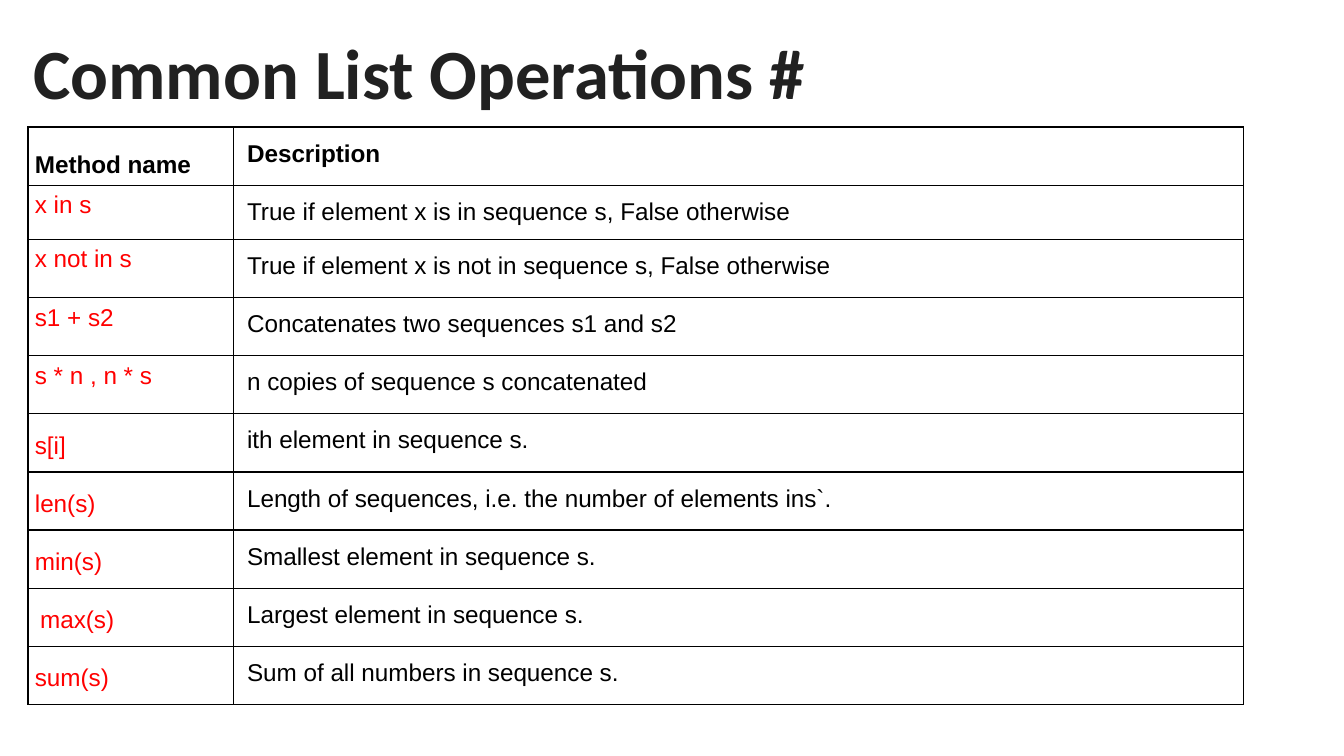
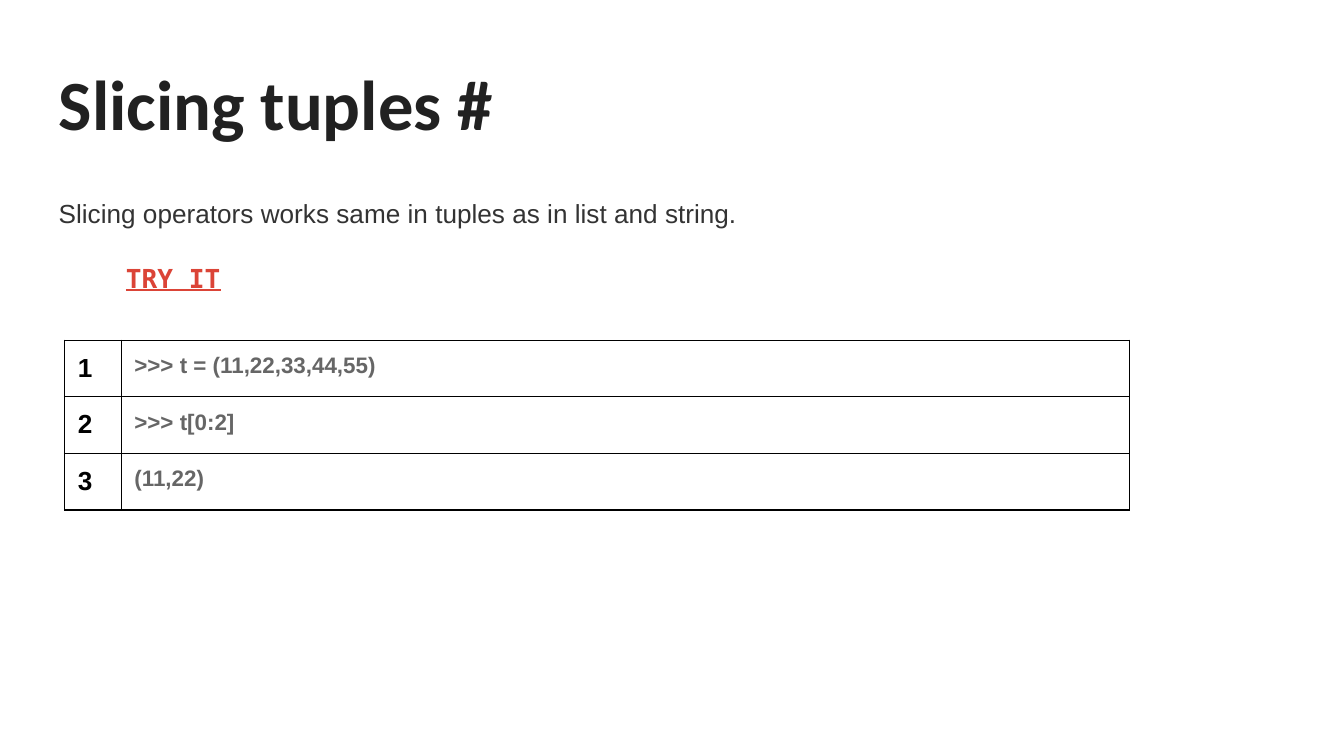
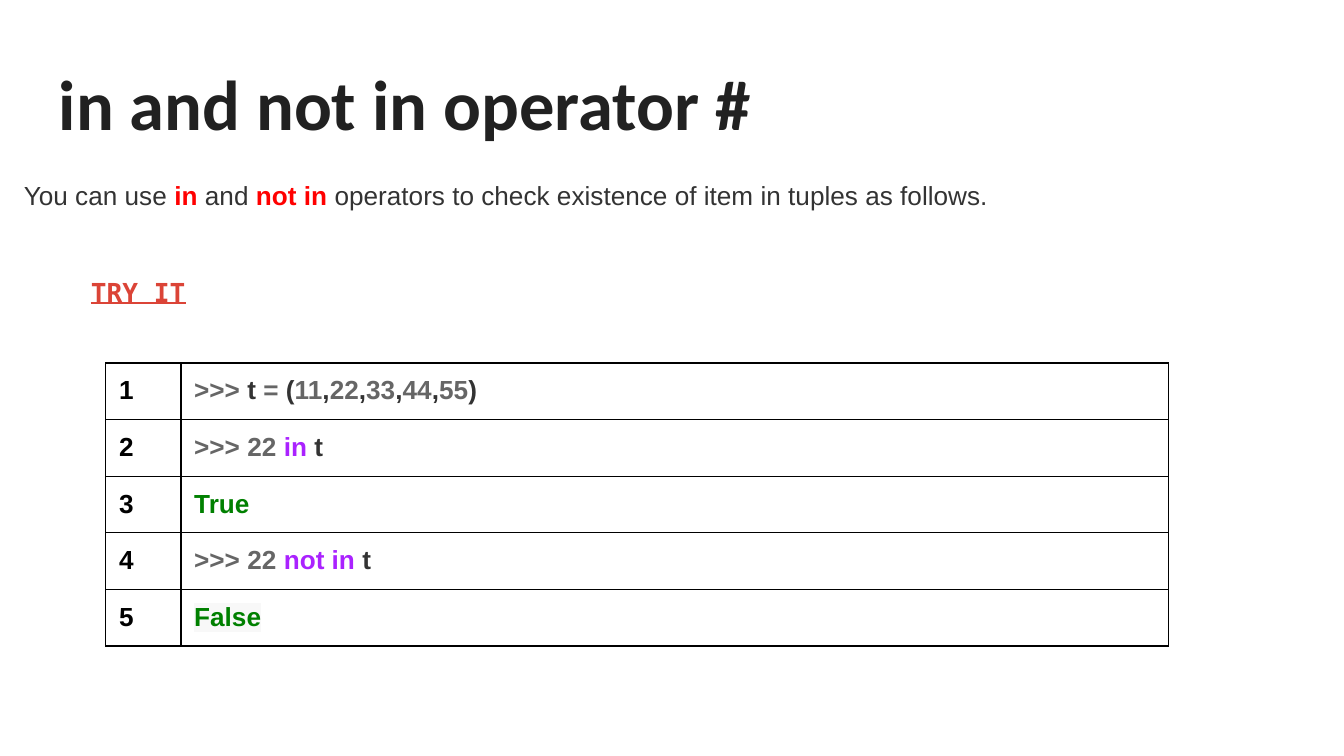
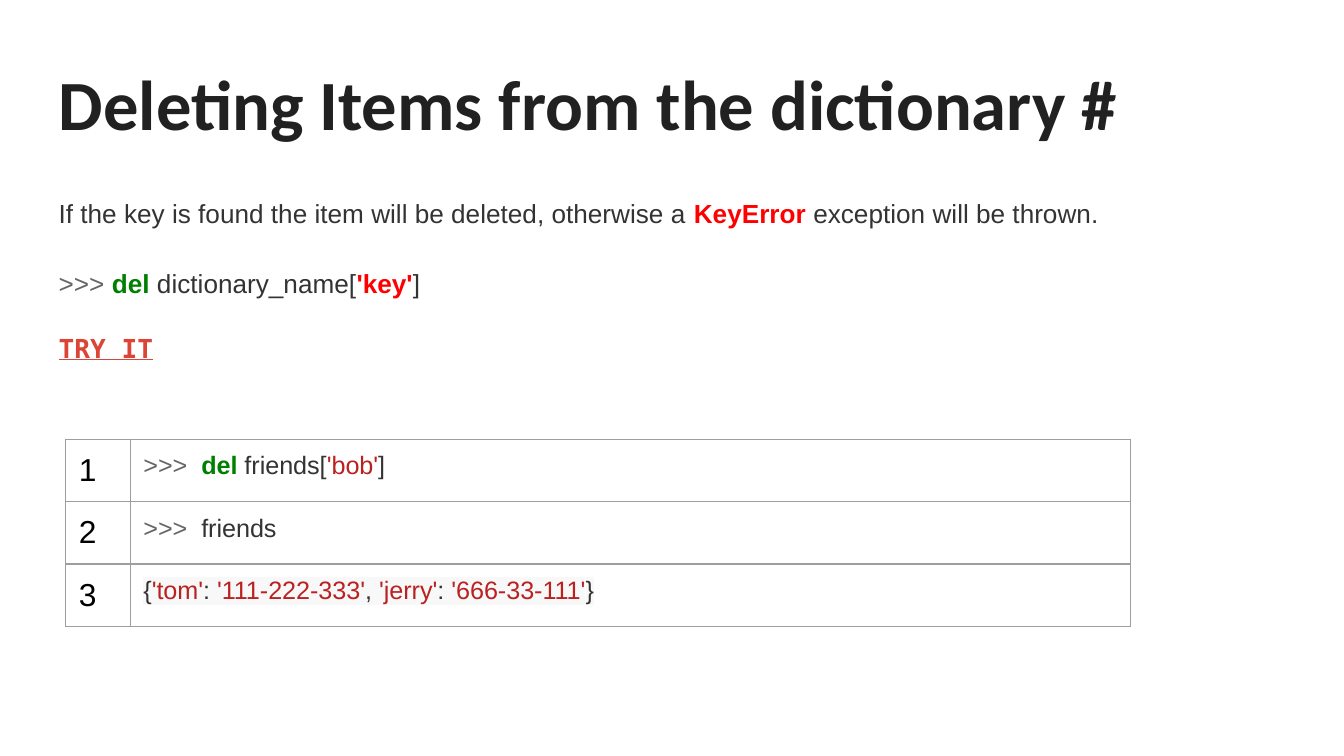
from dataclasses import dataclass, replace

from lxml import etree
from pptx import Presentation
from pptx.dml.color import RGBColor
from pptx.enum.text import MSO_ANCHOR, MSO_AUTO_SIZE, PP_ALIGN
from pptx.oxml.ns import qn
from pptx.util import Cm, Pt

TOP = MSO_ANCHOR.TOP
MIDDLE = MSO_ANCHOR.MIDDLE
BOTTOM = MSO_ANCHOR.BOTTOM
NO_AUTOFIT = MSO_AUTO_SIZE.NONE
LEFT = PP_ALIGN.LEFT
TITLE_ONLY = 5


@dataclass(frozen=True)
class TextStyle:
    size: float
    color: str
    font: str = "Arial"
    bold: bool = False
    underline: bool = False


@dataclass(frozen=True)
class Theme:
    black: str = "000000"
    red: str = "FF0000"
    gray: str = "666666"
    green: str = "008000"
    purple: str = "AA22FF"
    brick: str = "BA2121"
    border: str = "9E9E9E"
    code_band: str = "F8F8F8"
    title: TextStyle = TextStyle(37.8, "212121", "Calibri", True)
    body: TextStyle = TextStyle(14, "333333")
    try_it: TextStyle = TextStyle(14, "DB4437", "DejaVu Sans Mono", True, True)
    cell: TextStyle = TextStyle(13, "000000")
    number: TextStyle = TextStyle(14, "000000", bold=True)
    large_number: TextStyle = TextStyle(17, "000000")
    small_code: TextStyle = TextStyle(12, "666666", bold=True)
    bold_code: TextStyle = TextStyle(14, "333333", bold=True)
    code: TextStyle = TextStyle(13.5, "333333")


@dataclass(frozen=True)
class Line:
    runs: tuple
    style: TextStyle
    spacing: float = 1.0
    before: float = 0
    indent: float = 0
    highlight: str = ""


class Deck:
    def __init__(self, theme):
        self.theme = theme
        self.presentation = Presentation()
        self.presentation.slide_width = Cm(25.4)
        self.presentation.slide_height = Cm(14.29)
        self.slide = None

    def add_slide(self, title, left=0.86, top=0.81):
        layout = self.presentation.slide_layouts[TITLE_ONLY]
        self.slide = self.presentation.slides.add_slide(layout)
        shape = self.slide.shapes.title
        shape.left, shape.top = Cm(left), Cm(top)
        shape.width, shape.height = Cm(23.67), Cm(2.24)
        self.fill_frame(shape.text_frame, [Line((title,), self.theme.title)], MIDDLE)

    def add_body(self, left, top, height, lines):
        shape = self.slide.shapes.add_textbox(Cm(left), Cm(top), Cm(23.67), Cm(height))
        self.fill_frame(shape.text_frame, lines, TOP)

    def fill_frame(self, frame, lines, anchor):
        frame.word_wrap = True
        frame.auto_size = NO_AUTOFIT
        frame.vertical_anchor = anchor
        self.set_margins(frame, 0.25)
        for index, line in enumerate(lines):
            paragraph = frame.add_paragraph() if index else frame.paragraphs[0]
            self.fill_paragraph(paragraph, line)

    def set_margins(self, target, margin):
        target.margin_left = target.margin_right = Cm(margin)
        target.margin_top = target.margin_bottom = Cm(margin)

    def fill_paragraph(self, paragraph, line):
        style = line.style
        paragraph.alignment = LEFT
        paragraph.line_spacing = line.spacing
        paragraph.space_before = Pt(line.before)
        paragraph.font.name = style.font
        paragraph.font.size = Pt(style.size)
        paragraph.font.underline = style.underline
        if line.indent:
            paragraph._p.get_or_add_pPr().set("indent", str(Cm(line.indent)))
        for part in line.runs:
            text, color, bold = (part, style.color, style.bold) if isinstance(part, str) else part
            run = paragraph.add_run()
            run.text = text
            run.font.bold = bold
            run.font.color.rgb = RGBColor.from_string(color)
            if line.highlight:
                highlight = etree.SubElement(run.font._element, qn("a:highlight"))
                etree.SubElement(highlight, qn("a:srgbClr"), val=line.highlight)

    def add_table(self, left, top, widths, heights, rows, border, first_margin=0.25):
        frame = self.slide.shapes.add_table(
            len(rows), len(widths), Cm(left), Cm(top), Cm(sum(widths)), Cm(sum(heights)))
        table = frame.table
        table.first_row = table.horz_banding = False
        for column, width in zip(table.columns, widths):
            column.width = Cm(width)
        for row, height, lines in zip(table.rows, heights, rows):
            row.height = Cm(height)
            for cell, line, margin in zip(row.cells, lines, (first_margin, 0.25)):
                self.set_margins(cell, margin)
                cell.fill.background()
                self.set_borders(cell, border)
                self.fill_paragraph(cell.text_frame.paragraphs[0], line)
        return table

    def set_borders(self, cell, color):
        properties = cell._tc.get_or_add_tcPr()
        for position, side in enumerate(("lnL", "lnR", "lnT", "lnB")):
            edge = etree.Element(qn(f"a:{side}"), w=str(Pt(0.75)))
            fill = etree.SubElement(edge, qn("a:solidFill"))
            etree.SubElement(fill, qn("a:srgbClr"), val=color)
            properties.insert(position, edge)

    def add_code_table(self, left, top, widths, row_height, number_style, code_lines, border):
        rows = [(Line((str(number),), number_style), line)
                for number, line in enumerate(code_lines, 1)]
        self.add_table(left, top, widths, [row_height] * len(rows), rows, border)


def add_list_operations(deck):
    theme = deck.theme
    heading = replace(theme.cell, bold=True)
    method = replace(theme.cell, color=theme.red)
    operations = [
        ("x in s", "True if element x is in sequence s, False otherwise"),
        ("x not in s", "True if element x is not in sequence s, False otherwise"),
        ("s1 + s2", "Concatenates two sequences s1 and s2"),
        ("s * n , n * s", "n copies of sequence s concatenated"),
    ]
    functions = [
        ("s[i]", "ith element in sequence s."),
        ("len(s)", "Length of sequences, i.e. the number of elements ins`."),
        ("min(s)", "Smallest element in sequence s."),
        ("max(s)", "Largest element in sequence s."),
        ("sum(s)", "Sum of all numbers in sequence s."),
    ]
    rows = [(Line(("Method name",), heading), Line(("Description",), heading))]
    for group, spacing in ((operations, 1.0), (functions, 1.43)):
        for name, description in group:
            indent = 0.1 if name == "max(s)" else 0
            rows.append((Line((name,), method, spacing, indent=indent),
                         Line((description,), theme.cell)))
    deck.add_slide("Common List Operations #", 0.38, 0.23)
    table = deck.add_table(0.53, 2.4, (3.89, 19.08), [1.1, 1.02] + [1.1] * 8, rows,
                           theme.black, first_margin=0.13)
    table.cell(0, 0).vertical_anchor = BOTTOM


def add_slicing_tuples(deck):
    theme = deck.theme
    deck.add_slide("Slicing tuples #")
    deck.add_body(0.86, 3.4, 1.37, [
        Line(("Slicing operators works same in tuples as in list and string.",), theme.body, 1.15),
        Line(("TRY IT",), theme.try_it, before=18, indent=1.27),
    ])
    code = (">>> t = (11,22,33,44,55)", ">>> t[0:2]", "(11,22)")
    deck.add_code_table(1.22, 6.43, (1.07, 19.05), 1.07, theme.number,
                        [Line((text,), theme.small_code) for text in code], theme.black)


def add_in_operator(deck):
    theme = deck.theme

    def gray(text):
        return text, theme.gray, True

    def keyword(text):
        return text, theme.purple, True

    def result(text):
        return text, theme.green, True

    deck.add_slide("in and not in operator #")
    deck.add_body(0.2, 3.05, 1.32, [
        Line(("You can use ", ("in ", theme.red, True), "and ", ("not in", theme.red, True),
              " operators to check existence of item in tuples as follows."), theme.body, 1.15),
        Line(("TRY IT",), theme.try_it, before=35, indent=1.27),
    ])
    code = [
        (gray(">>>"), " t ", gray("="), " (", gray("11"), ",", gray("22"), ",", gray("33"), ",",
         gray("44"), ",", gray("55"), ")"),
        (gray(">>> 22 "), keyword("in"), " t"),
        (result("True"),),
        (gray(">>> 22 "), keyword("not in"), " t"),
    ]
    lines = [Line(runs, theme.bold_code) for runs in code]
    lines.append(Line((result("False"),), theme.bold_code, highlight=theme.code_band))
    deck.add_code_table(2.0, 6.86, (1.42, 18.67), 1.07, theme.number, lines, theme.black)


def add_deleting_items(deck):
    theme = deck.theme
    delete = ("del", theme.green, True)

    def literal(text):
        return text, theme.brick, False

    deck.add_slide("Deleting Items from the dictionary #")
    deck.add_body(0.86, 3.4, 2.95, [
        Line(("If the key is found the item will be deleted, otherwise a ",
              ("KeyError ", theme.red, True), "exception will be thrown."), theme.body, 1.15),
        Line(((">>> ", theme.gray, False), delete, " dictionary_name[",
              ("'key'", theme.red, True), "]"), theme.body, 1.15, before=18),
        Line(("TRY IT",), theme.try_it, before=18),
    ])
    deck.add_code_table(1.24, 8.3, (1.22, 18.9), 1.18, theme.large_number, [
        Line(((">>>  ", theme.gray, False), delete, " friends[", literal("'bob'"), "]"),
             theme.code),
        Line(((">>>", theme.gray, False), "  friends"), theme.code),
        Line(("{", literal("'tom'"), ": ", literal("'111-222-333'"), ", ", literal("'jerry'"),
              ": ", literal("'666-33-111'"), "}"), theme.code, highlight=theme.code_band),
    ], theme.border)


def main():
    deck = Deck(Theme())
    add_list_operations(deck)
    add_slicing_tuples(deck)
    add_in_operator(deck)
    add_deleting_items(deck)
    deck.presentation.save("out.pptx")


if __name__ == "__main__":
    main()
